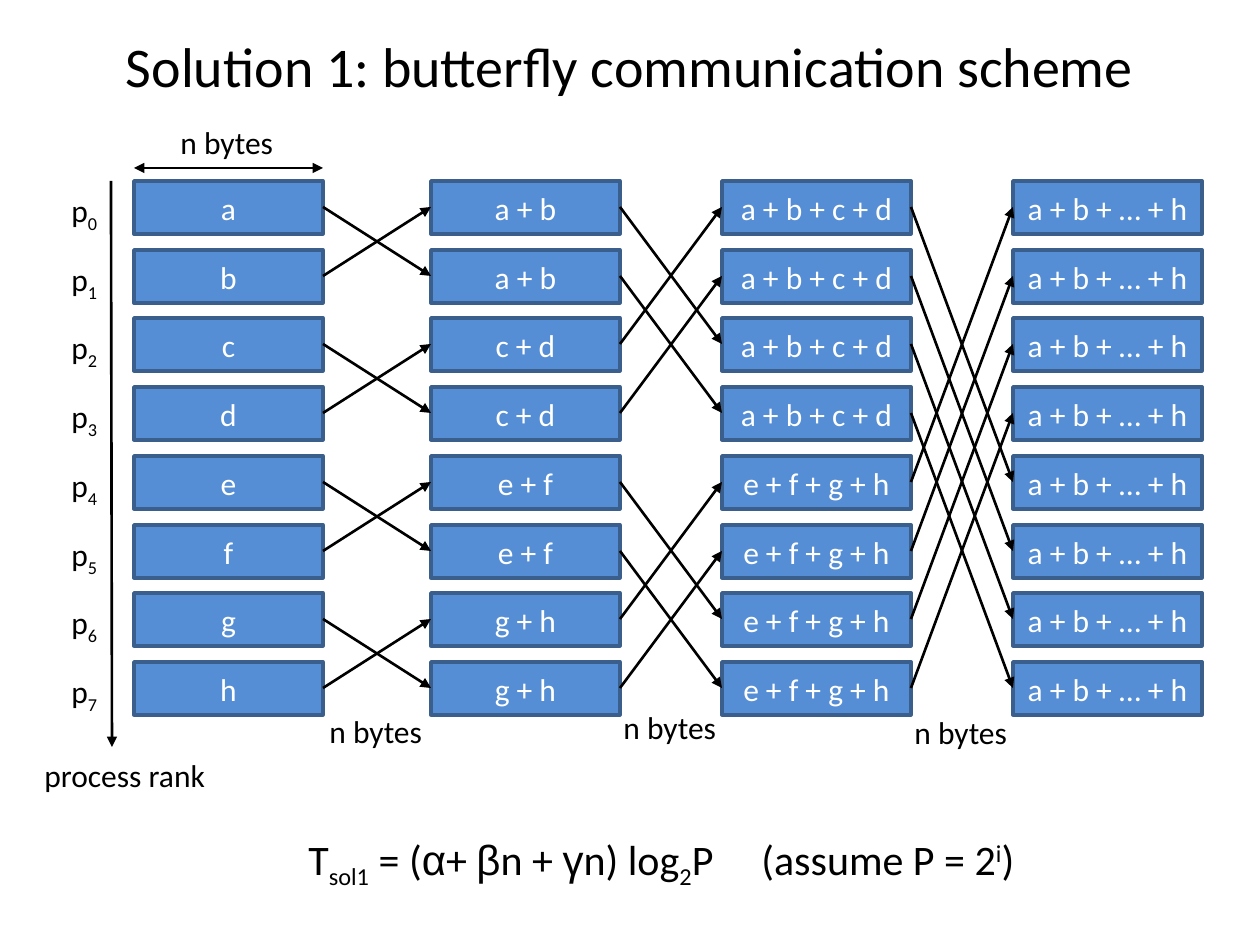
from dataclasses import dataclass

from lxml.etree import SubElement, Element
from pptx import Presentation
from pptx.dml.color import RGBColor
from pptx.enum.shapes import MSO_CONNECTOR as Conn, MSO_SHAPE as Shape
from pptx.enum.text import MSO_ANCHOR as Anchor, MSO_AUTO_SIZE as Auto, PP_ALIGN as Align
from pptx.oxml.ns import qn
from pptx.util import Emu, Pt

SCALE = 914400 / 126
BLACK, WHITE, BLUE, EDGE = "000000", "FFFFFF", "558ED5", "3A5F8C"
NAMES = "abcdefgh"
COLS = (134, 431, 722, 1013)
TOP, SPAN, WIDE, HIGH = 181, 481, 189, 53


@dataclass(frozen=True)
class Piece:
    """A stretch of text with its baseline shift in percent and its font."""
    text: str
    base: int = 0
    face: str = "Calibri"


@dataclass(frozen=True)
class Label:
    """A free text: its box in pixels, its pieces and its size in points."""
    box: tuple[int, int, int, int]
    pieces: tuple[Piece, ...]
    size: int = 18
    tab: int = 0


@dataclass(frozen=True)
class Arrow:
    """A line with a head at its end, or at both ends."""
    start: tuple[int, int]
    end: tuple[int, int]
    both: bool = False


def px(num: float) -> Emu:
    """Turn pixels into EMU."""
    return Emu(round(num * SCALE))


def rgb(code: str) -> RGBColor:
    """Turn a hex string into a colour."""
    return RGBColor.from_string(code)


def style(para, size: int, code: str) -> None:
    """Set the font of a paragraph."""
    font = para.font
    font.name, font.size = "Calibri", Pt(size)
    font.color.rgb = rgb(code)


def row_top(row: int) -> int:
    """Give the top edge of a row of boxes."""
    return TOP + round(row * SPAN / (len(NAMES) - 1))


def row_mid(row: int) -> int:
    """Give the middle of a row of boxes."""
    return row_top(row) + HIGH // 2


def content(stage: int, row: int) -> str:
    """Give the sum that a process holds after a stage."""
    size = 2 ** stage
    first = row - row % size
    group = NAMES[first:first + size]
    terms = [*group[:2], "…", group[-1]] if size > 4 else group
    return " + ".join(terms)


def draw_box(shapes, stage: int, row: int) -> None:
    """Draw one data box."""
    box = shapes.add_shape(Shape.RECTANGLE, px(COLS[stage]), px(row_top(row)), px(WIDE), px(HIGH))
    box.shadow.inherit = False
    box.fill.solid()
    box.fill.fore_color.rgb = rgb(BLUE)
    box.line.color.rgb = rgb(EDGE)
    box.line.width = Pt(2)
    frame = box.text_frame
    frame.margin_left = frame.margin_right = frame.margin_top = frame.margin_bottom = 0
    frame.vertical_anchor = Anchor.MIDDLE
    para = frame.paragraphs[0]
    para.text = content(stage, row)
    para.alignment = Align.CENTER
    style(para, 18, WHITE)


def draw_arrow(shapes, arrow: Arrow) -> None:
    """Draw one arrow."""
    ends = [px(num) for num in (*arrow.start, *arrow.end)]
    line = shapes.add_connector(Conn.STRAIGHT, *ends)
    line.line.color.rgb = rgb(BLACK)
    line.line.width = Pt(1.5)
    props = line.element.spPr
    stroke = props.find(qn("a:ln"))
    for tag in ("a:headEnd", "a:tailEnd") if arrow.both else ("a:tailEnd",):
        SubElement(stroke, qn(tag), type="triangle")
    SubElement(props, qn("a:effectLst"))


def draw_label(shapes, label: Label) -> None:
    """Draw one free text."""
    frame = shapes.add_textbox(*map(px, label.box)).text_frame
    frame.word_wrap = False
    frame.auto_size = Auto.SHAPE_TO_FIT_TEXT
    para = frame.paragraphs[0]
    style(para, label.size, BLACK)
    if label.tab:
        tabs = Element(qn("a:tabLst"))
        SubElement(tabs, qn("a:tab"), pos=str(px(label.tab)), algn="l")
        para._p.get_or_add_pPr().insert(0, tabs)
    for piece in label.pieces:
        run = para.add_run()
        run.text = piece.text
        if piece.face != "Calibri":
            run.font.name = piece.face
        if piece.base:
            run._r.get_or_add_rPr().set("baseline", str(piece.base * 1000))


def draw_title(slide) -> None:
    """Fill and place the title."""
    title = slide.shapes.title
    title.left, title.top, title.width, title.height = map(px, (63, 21, 1134, 88))
    title.text_frame.vertical_anchor = Anchor.MIDDLE
    para = title.text_frame.paragraphs[0]
    para.text = "Solution 1: butterfly communication scheme"
    para.alignment = Align.CENTER
    style(para, 32, BLACK)


def main() -> None:
    """Build the slide and save it."""
    deck = Presentation()
    deck.slide_width, deck.slide_height = px(1260), px(945)
    slide = deck.slides.add_slide(deck.slide_layouts[5])
    shapes = slide.shapes
    rows = range(len(NAMES))
    draw_title(slide)

    for row in rows:
        for stage in range(len(COLS)):
            draw_box(shapes, stage, row)

    arrows = [Arrow((111, 181), (112, 747)), Arrow((134, 168), (323, 168), both=True)]
    for stage, (left, right) in enumerate(zip(COLS, COLS[1:])):
        arrows += [Arrow((left + WIDE, row_mid(row)), (right, row_mid(row ^ 2 ** stage)))
                   for row in rows]
    for arrow in arrows:
        draw_arrow(shapes, arrow)

    labels = [Label((59, row_top(row) + 4, 53, 50), (Piece("p"), Piece(str(row), -25)))
              for row in rows]
    labels += [Label((left, top, 120, 50), (Piece("n bytes"),))
               for left, top in ((168, 117), (317, 706), (611, 702), (902, 707))]
    cost = (Piece("T"), Piece("sol1", -25), Piece(" = ("), Piece("α", face="Arial"), Piece("+ "),
            Piece("β", face="Arial"), Piece("n + "), Piece("γ", face="Arial"), Piece("n) log"),
            Piece("2", -25), Piece("P\t(assume P = 2"), Piece("i", 30), Piece(")"))
    labels += [Label((32, 750, 188, 50), (Piece("process rank"),)),
               Label((296, 827, 743, 63), cost, 24, tab=453)]
    for label in labels:
        draw_label(shapes, label)

    deck.save("out.pptx")


main()
